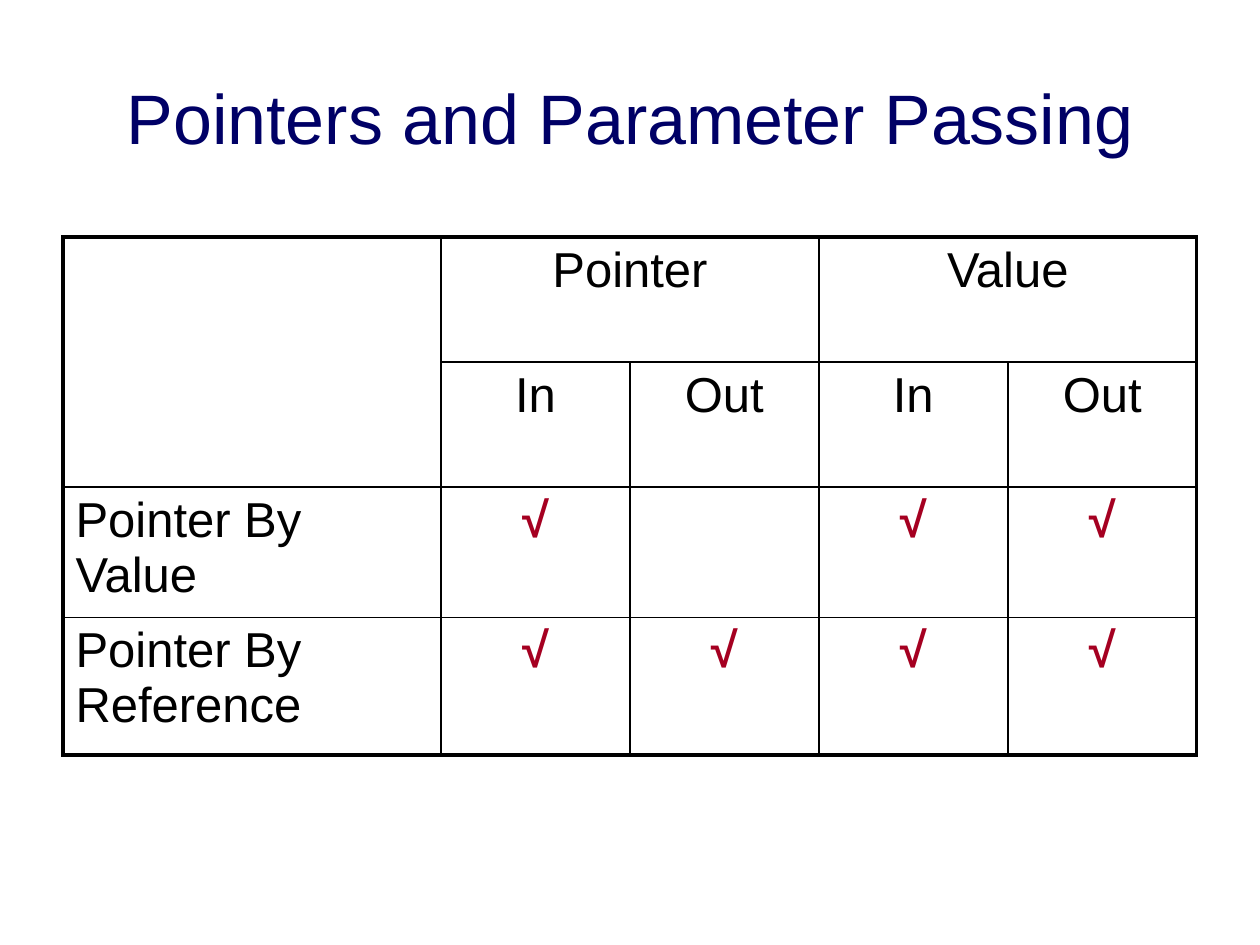
from lxml import etree
from pptx import Presentation
from pptx import util as u
from pptx.dml.color import RGBColor
from pptx.enum import text
from pptx.oxml import ns

SCALE = 914400 // 126
NAVY = RGBColor(0x00, 0x00, 0x66)
BLACK = RGBColor(0x00, 0x00, 0x00)
CRIMSON = RGBColor(0xA5, 0x00, 0x21)
THIN, THICK = u.Pt(1), u.Pt(2.25)
CHECK = "√"

COLUMNS = [378, 189, 189, 189, 189]
ROWS = [125, 125, 125, 138]
CELLS = [
    ["", "Pointer", "", "Value", ""],
    ["", "In", "Out", "In", "Out"],
    ["Pointer By Value", CHECK, "", CHECK, CHECK],
    ["Pointer By Reference", CHECK, CHECK, CHECK, CHECK],
]
MERGES = [((0, 0), (1, 0)), ((0, 1), (0, 2)), ((0, 3), (0, 4))]


def px(length):
    """Turn pixels into EMU."""
    return u.Emu(length * SCALE)


def write(frame, words, size=28, color=BLACK, bold=False, align=text.PP_ALIGN.CENTER):
    """Write one formatted paragraph into a text frame."""
    para = frame.paragraphs[0]
    para.alignment = align
    span = para.add_run()
    span.text = words
    span.font.name = "Arial"
    span.font.size = u.Pt(size)
    span.font.bold = bold
    span.font.color.rgb = color


def set_borders(cell, widths):
    """Draw the left, right, top and bottom borders of a cell."""
    properties = cell._tc.get_or_add_tcPr()
    for index, (side, width) in enumerate(zip("LRTB", widths)):
        line = etree.Element(ns.qn(f"a:ln{side}"), w=str(int(width)))
        fill = etree.SubElement(line, ns.qn("a:solidFill"))
        etree.SubElement(fill, ns.qn("a:srgbClr"), val=str(BLACK))
        properties.insert(index, line)


def add_title(page, left, top, width, height):
    """Place the centred heading in its box."""
    box = page.shapes.add_textbox(px(left), px(top), px(width), px(height))
    box.text_frame.word_wrap = True
    box.text_frame.vertical_anchor = text.MSO_ANCHOR.MIDDLE
    write(box.text_frame, "Pointers and Parameter Passing", size=40, color=NAVY)


def add_passing_table(page, left, top):
    """Place the parameter passing table with a heavy outer frame."""
    frame = page.shapes.add_table(len(ROWS), len(COLUMNS), px(left), px(top),
                                  px(sum(COLUMNS)), px(sum(ROWS)))
    table = frame.table
    table.first_row = table.horz_banding = False
    for column, width in zip(table.columns, COLUMNS):
        column.width = px(width)
    for row, height in zip(table.rows, ROWS):
        row.height = px(height)
    for start, end in MERGES:
        table.cell(*start).merge(table.cell(*end))

    for r, words_row in enumerate(CELLS):
        for c, words in enumerate(words_row):
            cell = table.cell(r, c)
            last_row, last_column = r + cell.span_height, c + cell.span_width
            cell.fill.background()
            edges = (c == 0, last_column == len(COLUMNS), r == 0, last_row == len(ROWS))
            set_borders(cell, [THICK if outer else THIN for outer in edges])
            if words:
                checked = words == CHECK
                write(cell.text_frame, words, bold=checked,
                      color=CRIMSON if checked else BLACK,
                      align=text.PP_ALIGN.CENTER if c else text.PP_ALIGN.LEFT)


def main():
    """Build the slide and save it."""
    deck = Presentation()
    deck.slide_width, deck.slide_height = px(1260), px(945)
    page = deck.slides.add_slide(deck.slide_layouts[6])
    add_title(page, 63, 38, 1134, 158)
    add_passing_table(page, 63, 237)
    deck.save("out.pptx")


main()
